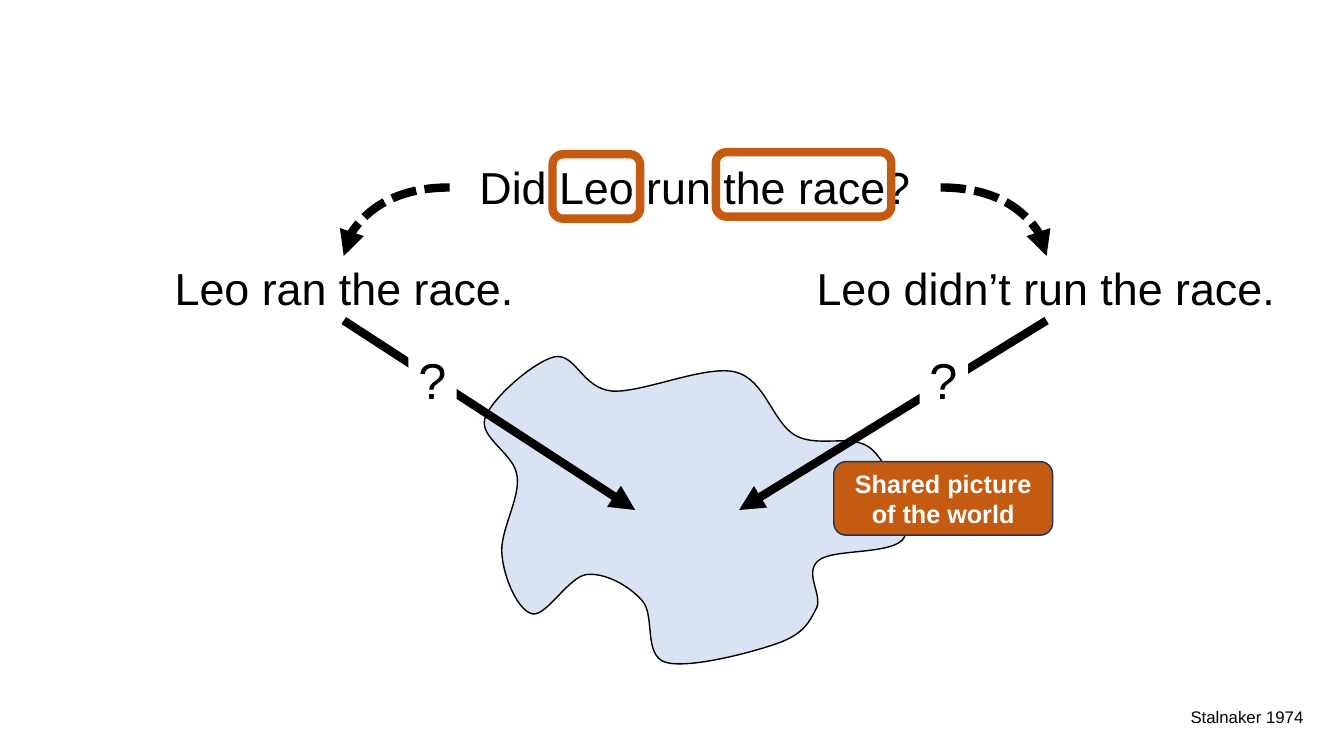
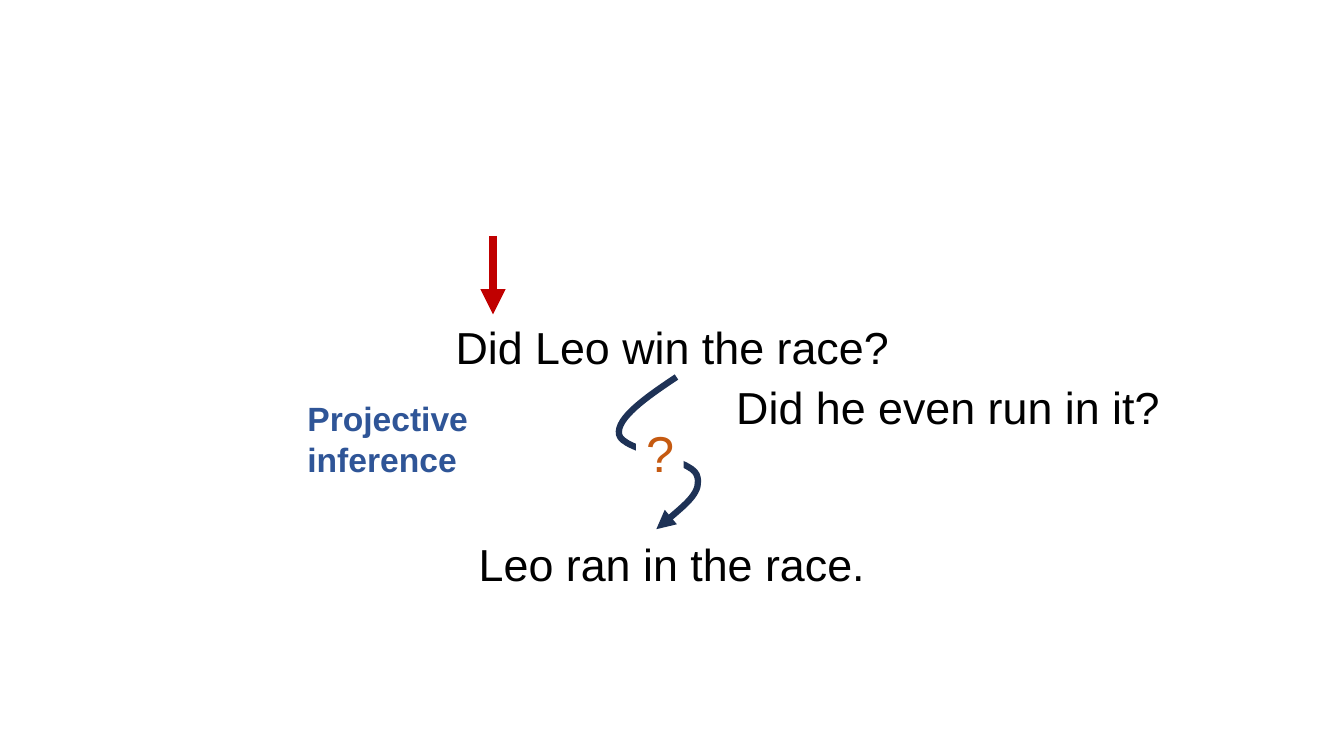
from lxml import etree
from pptx import Presentation
from pptx.dml.color import RGBColor
from pptx.enum import dml, shapes, text
from pptx.oxml import ns
from pptx.util import Inches, Pt

BLACK = RGBColor(0x00, 0x00, 0x00)
WHITE = RGBColor(0xFF, 0xFF, 0xFF)
ORANGE = RGBColor(0xC5, 0x5A, 0x11)
NAVY = RGBColor(0x1E, 0x32, 0x56)
BLUE = RGBColor(0x2F, 0x55, 0x97)
PALE_BLUE = RGBColor(0xDA, 0xE3, 0xF3)
RED = RGBColor(0xC0, 0x00, 0x00)

FONT = "Arial"
LEFT, CENTER = text.PP_ALIGN.LEFT, text.PP_ALIGN.CENTER
ROUNDED = shapes.MSO_SHAPE.ROUNDED_RECTANGLE
SENTENCE = {"size": Pt(32)}
QUESTION = {"size": Pt(36)}


def add_text(s, lines, box, fmt, align=CENTER, color=BLACK, fill=None,
             kind=shapes.MSO_SHAPE.RECTANGLE):
    """Add wrapped text, in a filled shape if a fill is given."""
    if fill is None:
        sp = s.shapes.add_textbox(*map(Inches, box))
    else:
        sp = s.shapes.add_shape(kind, *map(Inches, box))
        sp.fill.solid()
        sp.fill.fore_color.rgb = fill
        sp.line.fill.background()
        sp.shadow.inherit = False
    tf = sp.text_frame
    tf.word_wrap = True
    if kind == ROUNDED:
        tf.vertical_anchor = text.MSO_ANCHOR.MIDDLE
    else:
        tf.vertical_anchor = text.MSO_ANCHOR.TOP
        tf.auto_size = text.MSO_AUTO_SIZE.SHAPE_TO_FIT_TEXT
    tf.text = lines
    for p in tf.paragraphs:
        p.alignment = align
        for r in p.runs:
            r.font.color.rgb = color
            for name, value in {"name": FONT, **fmt}.items():
                setattr(r.font, name, value)
    return sp


def style_line(sp, color, width, arrow=True, dash=None):
    """Format an outline or connector and switch its shadow off."""
    sp.line.color.rgb = color
    sp.line.width = Pt(width)
    if dash is not None:
        sp.line.dash_style = dash
    spPr = sp._element.spPr
    if arrow:
        ln = spPr.find(ns.qn("a:ln"))
        etree.SubElement(ln, ns.qn("a:tailEnd"), type="triangle")
    if spPr.find(ns.qn("a:effectLst")) is None:
        etree.SubElement(spPr, ns.qn("a:effectLst"))


prs = Presentation()
prs.slide_width, prs.slide_height = Inches(13.33), Inches(7.5)
s1, s2 = [prs.slides.add_slide(prs.slide_layouts[6]) for _ in range(2)]

# Curved outlines: each row holds two control points and an end point
world = [
    (6.37, 3.9, 6.99, 3.62, 7.29, 3.69),
    (7.59, 3.76, 7.66, 4.19, 7.89, 4.32),
    (8.12, 4.45, 8.47, 4.29, 8.65, 4.46),
    (8.83, 4.63, 9.06, 5.14, 8.97, 5.33),
    (8.88, 5.51, 8.26, 5.44, 8.12, 5.56),
    (7.97, 5.68, 8.16, 5.9, 8.1, 6.03),
    (8.03, 6.17, 7.97, 6.29, 7.72, 6.38),
    (7.47, 6.47, 6.83, 6.64, 6.6, 6.57),
    (6.38, 6.5, 6.5, 6.1, 6.37, 5.96),
    (6.24, 5.81, 6, 5.68, 5.82, 5.7),
    (5.64, 5.72, 5.42, 6.12, 5.28, 6.09),
    (5.14, 6.06, 5, 5.74, 4.98, 5.51),
    (4.95, 5.28, 5.16, 4.95, 5.13, 4.73),
    (5.11, 4.5, 4.75, 4.35, 4.81, 4.15),
    (4.87, 3.96, 5.29, 3.59, 5.5, 3.54),
    (5.71, 3.5, 5.77, 3.85, 6.07, 3.88),
]
inference = [
    (6.41, 3.94, 6.11, 4.15, 6.14, 4.31),
    (6.17, 4.47, 6.85, 4.55, 6.91, 4.71),
    (6.97, 4.87, 6.74, 5.06, 6.51, 5.25),
]
for s, start, curves, fill, color, width in [
    (s1, (6.07, 3.88), world, PALE_BLUE, BLACK, 1),
    (s2, (6.71, 3.74), inference, None, NAVY, 4.5),
]:
    builder = s.shapes.build_freeform(*map(Inches, start))
    builder.add_line_segments([(Inches(c[4]), Inches(c[5])) for c in curves],
                              close=fill is not None)
    sp = builder.convert_to_shape()
    # Turn each straight segment into a Bézier curve
    segments = list(sp._element.iter(ns.qn("a:lnTo")))
    for segment, curve in zip(segments, curves):
        bezier = etree.Element(ns.qn("a:cubicBezTo"))
        for x, y in zip(curve[::2], curve[1::2]):
            etree.SubElement(bezier, ns.qn("a:pt"), x=str(Inches(x) - sp.left),
                             y=str(Inches(y) - sp.top))
        segment.getparent().replace(segment, bezier)
    if fill is None:
        sp.fill.background()
    else:
        sp.fill.solid()
        sp.fill.fore_color.rgb = fill
    style_line(sp, color, width, arrow=fill is None)

# Slide 1: question and label on the shared picture
add_text(s1, "Did Leo run the race?", (4.46, 1.54, 4.87, 0.64), SENTENCE)
sp = add_text(s1, "Shared picture of the world", (8.27, 4.58, 2.17, 0.73),
              {"size": Pt(18), "bold": True}, CENTER, WHITE, ORANGE, ROUNDED)
style_line(sp, NAVY, 1, arrow=False)

# The two answers, each with a dashed curve, an arrow and a question mark
for answer, left, curve_x, answer_x, target_x, mark_x in [
    ("Leo ran the race.", 0.98, 4.46, 3.41, 6.3, 4.05),
    ("Leo didn’t run the race.", 7.94, 9.33, 10.38, 7.33, 9.12),
]:
    add_text(s1, answer, (left, 2.54, 4.87, 0.64), SENTENCE)
    sp = s1.shapes.add_connector(shapes.MSO_CONNECTOR.CURVE,
                                 *map(Inches, (curve_x, 1.86, answer_x, 2.54)))
    sp._element.spPr.find(ns.qn("a:prstGeom")).set("prst", "curvedConnector2")
    style_line(sp, BLACK, 6, dash=dml.MSO_LINE.SQUARE_DOT)
    sp = s1.shapes.add_connector(shapes.MSO_CONNECTOR.STRAIGHT,
                                 *map(Inches, (answer_x, 3.18, target_x, 5.06)))
    style_line(sp, BLACK, 6)
    add_text(s1, "?", (mark_x, 3.41, 0.48, 0.71), QUESTION, LEFT, fill=WHITE)

# Frames around the referring phrases
for box in [(5.48, 1.53, 0.87, 0.64), (7.1, 1.51, 1.74, 0.64)]:
    sp = s1.shapes.add_shape(ROUNDED, *map(Inches, box))
    sp.fill.background()
    style_line(sp, ORANGE, 6, arrow=False)

# Citation
add_text(s1, "Stalnaker 1974", (11.71, 6.96, 1.44, 0.3), {"size": Pt(12)}, LEFT)

# Slide 2: sentences
for sentence, box in [
    ("Did Leo win the race?", (4.35, 3.12, 4.64, 0.64)),
    ("Leo ran in the race.", (3.29, 5.28, 6.75, 0.64)),
    ("Did he even run in it?", (6.92, 3.72, 4.97, 0.64)),
]:
    add_text(s2, sentence, box, SENTENCE)

# Question mark and label on the inference
add_text(s2, "?", (6.31, 4.14, 0.47, 0.71), QUESTION, LEFT, ORANGE, WHITE)
add_text(s2, "Projective\ninference", (2.95, 3.9, 2.28, 0.91),
         {"size": Pt(24), "bold": True}, LEFT, BLUE)

# Pointer to the question
sp = s2.shapes.add_connector(shapes.MSO_CONNECTOR.STRAIGHT,
                             *map(Inches, (4.89, 2.34, 4.89, 3.12)))
style_line(sp, RED, 6)

prs.save("out.pptx")
